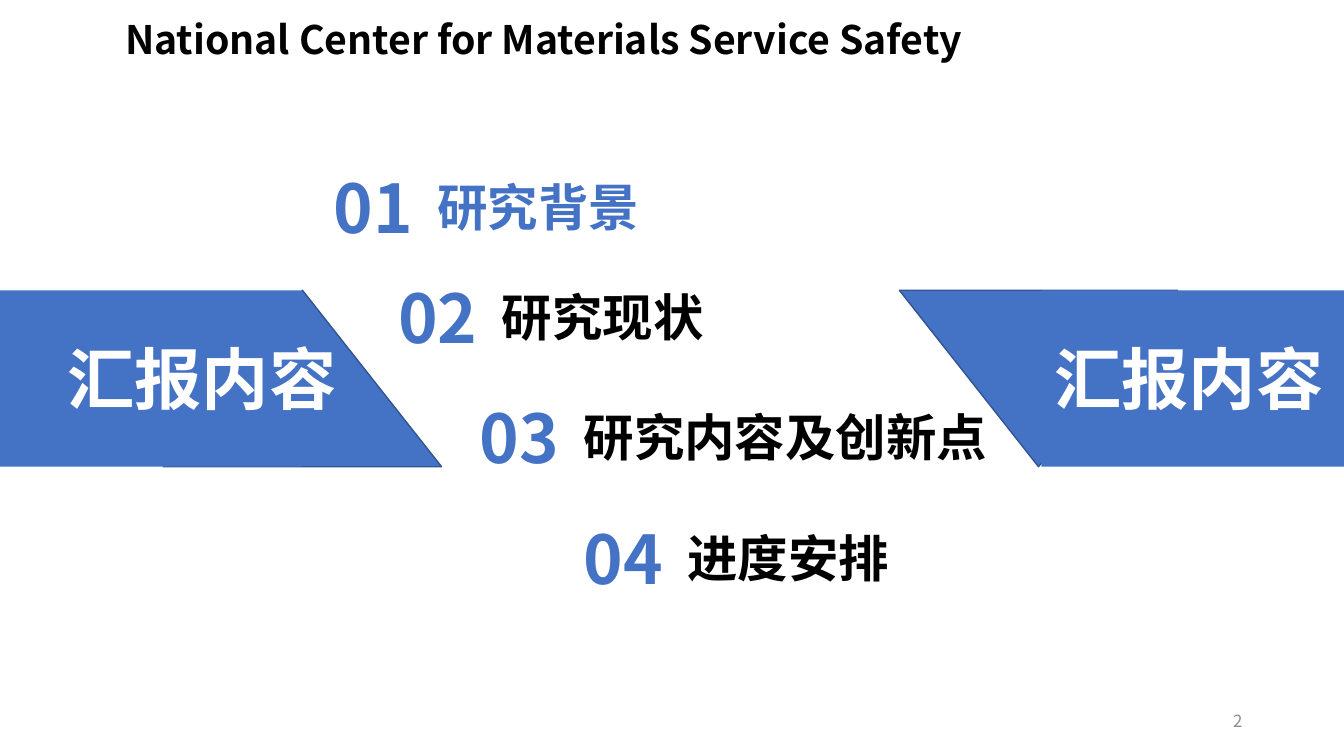
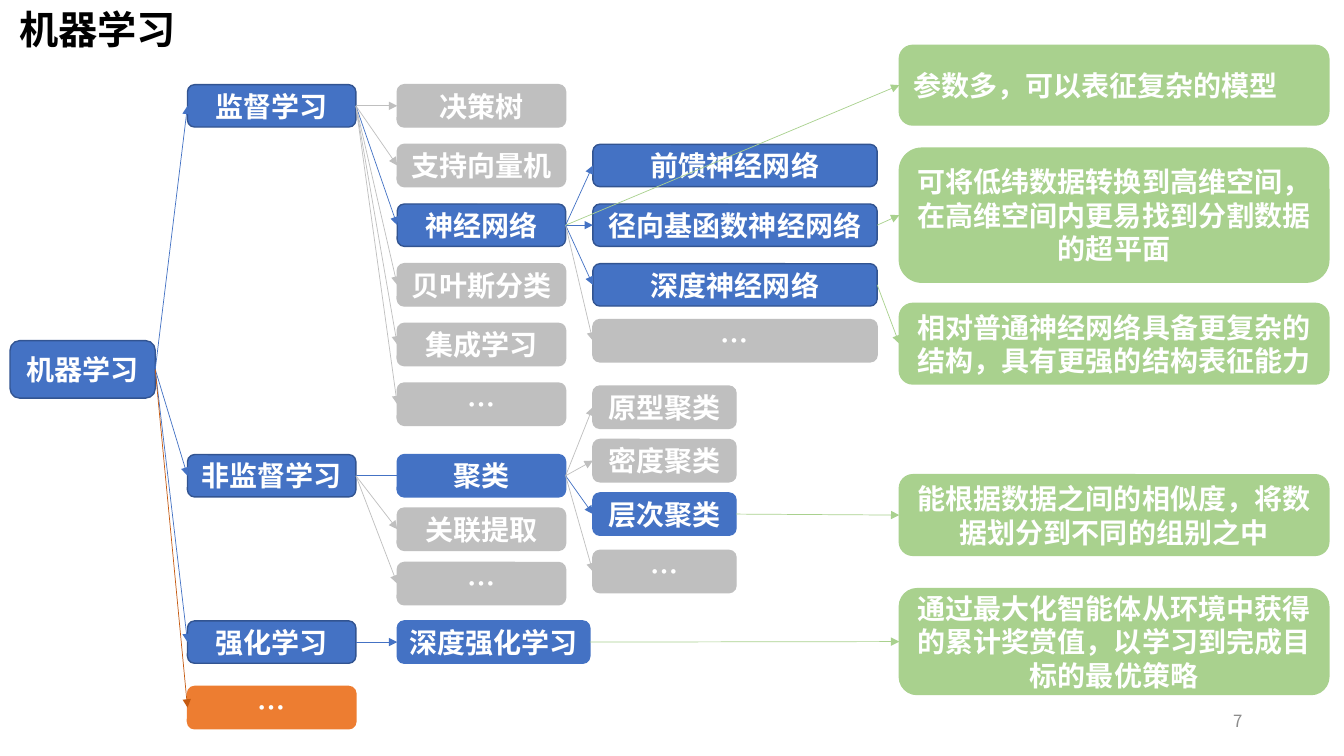
"""Builds the agenda slide and the machine learning tree slide."""
from dataclasses import dataclass

from lxml.etree import SubElement
from pptx import Presentation
from pptx.dml.color import RGBColor
from pptx.enum.shapes import MSO_CONNECTOR, MSO_SHAPE
from pptx.enum.text import MSO_ANCHOR, MSO_AUTO_SIZE, PP_ALIGN
from pptx.oxml.ns import qn
from pptx.util import Inches, Pt


@dataclass(frozen=True)
class Style:
    fill: str
    line: str
    link: str


@dataclass(frozen=True)
class Theme:
    font: str = "Noto Sans CJK SC"
    blue: str = "4472C4"
    black: str = "000000"
    white: str = "FFFFFF"
    muted: str = "8C8C8C"
    title: int = 28
    banner: int = 48
    item: int = 36
    node: int = 20
    number: int = 12
    main: Style = Style("4472C4", "325491", "4472C4")
    plain: Style = Style("4472C4", "4472C4", "4472C4")
    other: Style = Style("BFBFBF", "BFBFBF", "BFBFBF")
    more: Style = Style("ED7D31", "ED7D31", "C55A11")
    note: Style = Style("A9D18E", "A9D18E", "A9D18E")


T = Theme()


class Deck:
    def __init__(self):
        self.prs = Presentation()
        self.prs.slide_width = Inches(13.33)
        self.prs.slide_height = Inches(7.5)
        self.s = None

    def slide(self, title, left, top, width, number):
        self.s = self.prs.slides.add_slide(self.prs.slide_layouts[5])
        sp = self.s.shapes.title
        box = {"left": left, "top": top, "width": width, "height": 0.57}
        for name, value in box.items():
            setattr(sp, name, Inches(value))
        self.text(sp, title, T.title, T.black, word_wrap=False,
                  auto_size=MSO_AUTO_SIZE.SHAPE_TO_FIT_TEXT)
        sp = self.s.shapes.add_textbox(*map(Inches, (9.42, 6.95, 3, 0.4)))
        self.text(sp, number, T.number, T.muted, PP_ALIGN.RIGHT, bold=False,
                  vertical_anchor=MSO_ANCHOR.MIDDLE)

    def text(self, sp, text, size, color, align=PP_ALIGN.LEFT, bold=True, **frame):
        tf = sp.text_frame
        frame = {"word_wrap": True, "vertical_anchor": MSO_ANCHOR.TOP, **frame}
        for name, value in frame.items():
            setattr(tf, name, value)
        p = tf.paragraphs[0]
        p.alignment = align
        r = p.add_run()
        r.text = text
        for name, value in {"name": T.font, "size": Pt(size), "bold": bold}.items():
            setattr(r.font, name, value)
        r.font.color.rgb = RGBColor.from_string(color)
        SubElement(r.font._element, qn("a:ea"), typeface=T.font)

    def label(self, text, left, top, width, height, size, color):
        sp = self.s.shapes.add_textbox(*map(Inches, (left, top, width, height)))
        self.text(sp, text, size, color, word_wrap=False,
                  auto_size=MSO_AUTO_SIZE.SHAPE_TO_FIT_TEXT)

    def shape(self, kind, left, top, width, height, fill, line=None):
        sp = self.s.shapes.add_shape(kind, *map(Inches, (left, top, width, height)))
        sp.shadow.inherit = False
        sp.fill.solid()
        sp.fill.fore_color.rgb = RGBColor.from_string(fill)
        if line:
            sp.line.color.rgb = RGBColor.from_string(line)
            sp.line.width = Pt(1)
        else:
            sp.line.fill.background()
        return sp

    def banner(self, text, wedge_left, bar_left, text_left, rotation):
        sp = self.shape(MSO_SHAPE.TRAPEZOID, wedge_left, 2.88, 2.76, 1.75,
                        T.main.fill, T.main.line)
        sp.adjustments[0] = 0.79
        sp.rotation = rotation
        self.shape(MSO_SHAPE.RECTANGLE, bar_left, 2.88, 3, 1.75, T.blue)
        self.label(text, text_left, 3.3, 2.89, 0.91, T.banner, T.white)

    def item(self, number, text, left, top, color):
        self.label(number, left, top, 1.03, 0.91, T.banner, T.blue)
        self.label(text, left + 1.03, top + 0.1, 0.22 + 0.5 * len(text), 0.71,
                   T.item, color)

    def node(self, text, style, left, top, width, height=0.42,
             align=PP_ALIGN.CENTER, wrap=False):
        sp = self.shape(MSO_SHAPE.ROUNDED_RECTANGLE, left, top, width, height,
                        style.fill, style.line)
        self.text(sp, text, T.node, T.white, align, word_wrap=wrap,
                  vertical_anchor=MSO_ANCHOR.MIDDLE)
        return sp, style

    def column(self, left, width, tops, entries):
        return [self.node(text, style, left, top, width)
                for top, (text, style) in zip(tops, entries)]

    def link(self, parent, child, overlap=0):
        (a, _), (b, style) = parent, child
        c = self.s.shapes.add_connector(
            MSO_CONNECTOR.STRAIGHT, a.left + a.width, a.top + a.height // 2,
            b.left + Inches(overlap), b.top + b.height // 2)
        c.begin_connect(a, 3)
        if not overlap:
            c.end_connect(b, 1)
        c.line.width = Pt(0.5)
        c.line.color.rgb = RGBColor.from_string(style.link)
        SubElement(c.line._get_or_add_ln(), qn("a:tailEnd"), type="triangle")
        SubElement(c._element.spPr, qn("a:effectLst"))

    def fan(self, parent, children):
        for child in children:
            self.link(parent, child)


def agenda(d):
    d.slide("National Center for Materials Service Safety", 1.14, 0.1, 8.87, "2")
    d.banner("汇报内容", 1.62, 0, 0.57, 0)
    d.banner("汇报内容", 8.92, 10.33, 10.36, 180)
    items = [("研究背景", 3.21, 1.6, T.blue),
             ("研究现状", 3.85, 2.69, T.black),
             ("研究内容及创新点", 4.66, 3.88, T.black),
             ("进度安排", 5.69, 5.08, T.black)]
    for i, item in enumerate(items, 1):
        d.item(f"{i:02}", *item)


def learning_tree(d):
    d.slide("机器学习", 0.09, 0, 1.77, "7")
    rows = [0.84 + i * (3.8 - 0.84) / 5 for i in range(6)]
    root = d.node("机器学习", T.main, 0.1, 3.38, 1.44, 0.57)
    branches = d.column(1.86, 1.67, [0.84, 4.51, 6.16, 6.81], [
        ("监督学习", T.main), ("非监督学习", T.main),
        ("强化学习", T.main), ("…", T.more)])
    supervised, unsupervised, reinforced, _ = branches
    methods = d.column(3.94, 1.67, rows, [
        ("决策树", T.other), ("支持向量机", T.other), ("神经网络", T.main),
        ("贝叶斯分类", T.other), ("集成学习", T.other), ("…", T.other)])
    groupings = d.column(3.94, 1.67, [4.51, 5.04, 5.58], [
        ("聚类", T.plain), ("关联提取", T.other), ("…", T.other)])
    deep = d.node("深度强化学习", T.plain, 3.94, 6.16, 1.91)
    networks = d.column(5.88, 2.82, rows[1:4] + [3.17], [
        ("前馈神经网络", T.main), ("径向基函数神经网络", T.main),
        ("深度神经网络", T.main), ("…", T.other)])
    clusters = d.column(5.88, 1.42, [3.83, 4.36, 4.89, 5.46], [
        ("原型聚类", T.other), ("密度聚类", T.other),
        ("层次聚类", T.plain), ("…", T.other)])

    d.fan(root, branches)
    d.fan(supervised, methods)
    d.link(unsupervised, groupings[0], overlap=0.13)
    d.fan(unsupervised, groupings[1:])
    d.link(reinforced, deep)
    d.fan(methods[2], networks)
    d.fan(groupings[0], clusters)

    notes = [
        (methods[2], "参数多，可以表征复杂的模型", 0.45, 0.79, PP_ALIGN.LEFT),
        (networks[1], "可将低纬数据转换到高维空间，在高维空间内更易找到分割数据的超平面",
         1.47, 1.33, PP_ALIGN.CENTER),
        (networks[2], "相对普通神经网络具备更复杂的结构，具有更强的结构表征能力",
         3.01, 0.8, PP_ALIGN.CENTER),
        (clusters[2], "能根据数据之间的相似度，将数据划分到不同的组别之中",
         4.71, 0.8, PP_ALIGN.CENTER),
        (deep, "通过最大化智能体从环境中获得的累计奖赏值，以学习到完成目标的最优策略",
         5.84, 1.05, PP_ALIGN.CENTER)]
    for source, text, top, height, align in notes:
        note = d.node(text, T.note, 8.92, top, 4.26, height, align, wrap=True)
        d.link(source, note)


def main():
    d = Deck()
    agenda(d)
    learning_tree(d)
    d.prs.save("out.pptx")


if __name__ == "__main__":
    main()
